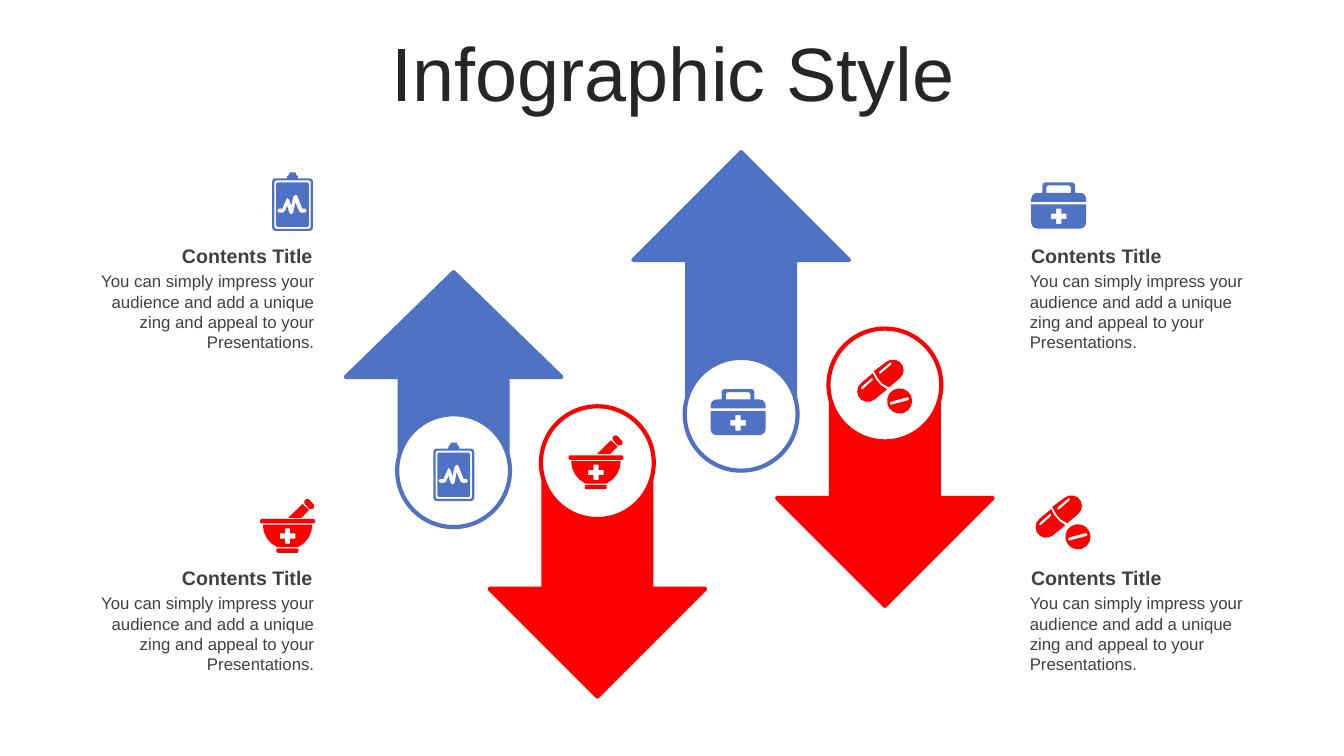
import math

import pptx
import pptx.dml.color
import pptx.enum.shapes
import pptx.enum.text
import pptx.util

Pt = pptx.util.Pt
SHAPE = pptx.enum.shapes.MSO_SHAPE
ALIGN = pptx.enum.text.PP_ALIGN
ANCHOR = pptx.enum.text.MSO_ANCHOR
AUTO = pptx.enum.text.MSO_AUTO_SIZE
BLUE, RED, WHITE = "5072C4", "FF0000", "FFFFFF"
DARK, GREY = "262626", "404040"


def color(value):
    return pptx.dml.color.RGBColor.from_string(value)


def arc(cx, cy, r, start, end):
    """Points along a circle, clockwise, angles in degrees; larger arcs get more points."""
    if r == 0:
        return [(cx, cy)]
    steps = max(1, round((end - start) * math.sqrt(r) / 70))
    angles = [math.radians(start + (end - start) * i / steps) for i in range(steps + 1)]
    return [(cx + r * math.cos(a), cy + r * math.sin(a)) for a in angles]


def rect(x, y, w, h, top=0, bottom=0):
    """Rectangle outline with separate radii for the top and bottom corners."""
    x2, y2 = x + w, y + h
    return (arc(x + top, y + top, top, 180, 270)
            + arc(x2 - top, y + top, top, 270, 360)
            + arc(x2 - bottom, y2 - bottom, bottom, 0, 90)
            + arc(x + bottom, y2 - bottom, bottom, 90, 180))


def bar(x1, y1, x2, y2, r):
    """Round-ended bar between two centres."""
    a = math.degrees(math.atan2(y2 - y1, x2 - x1))
    return arc(x2, y2, r, a - 90, a + 90) + arc(x1, y1, r, a + 90, a + 270)


def cross(cx, cy, half=5.5, arm=1.9):
    corner = [(arm, half), (arm, arm), (half, arm)]
    points = []
    for _ in range(4):
        points += [(cx + x, cy + y) for x, y in corner]
        corner = [(y, -x) for x, y in corner]
    return points


PULSE = [(16.6, 15.8), (15.1, 17.3), (13.7, 23.8), (12.2, 19.4), (10.8, 18), (10.1, 19.4),
         (7.2, 25.9), (4.7, 25.9), (3.6, 27.4), (4.7, 28.8), (7.9, 28.8), (9.4, 27.4),
         (10.8, 23.8), (12.2, 28.8), (13.7, 30.2), (15.1, 28.8), (16.6, 21.6), (19.4, 28.1),
         (20.9, 28.8), (23.8, 28.8), (24.8, 27.4), (23.8, 25.9), (21.6, 25.9), (18, 16.6)]
CLIPBOARD = [
    rect(0, 4.3, 29.2, 37.5, 2.2, 2.2),
    rect(1.6, 5.8, 26, 34.5, 1.4, 1.4),
    rect(2.9, 7.2, 23.4, 31.7, 1, 1),
    [(10.8, 4.3), (10.8, 2.8), (12, 1.8), (12.4, 0), (16.8, 0), (17.2, 1.8), (18.4, 2.8), (18.4, 4.3)],
    PULSE,
]
KIT = [
    rect(0, 15.8, 39.2, 17.2, bottom=4.3),
    rect(0, 7.4, 39.2, 6.5, top=4.3),
    rect(7.9, 0, 23.4, 7.4, top=2.2),
    rect(10.8, 2.2, 17.6, 5.2, top=1.2),
    cross(19.6, 24.2),
]
MORTAR = [
    rect(11.7, 35.4, 15.6, 3.1, 0.6, 0.6),
    arc(19.6, 18.4, 17.7, 0, 65) + arc(19.6, 18.4, 17.7, 115, 180),
    rect(0, 14.3, 39.2, 3.2, 0.8, 0.8),
    [(30.2, 3.6), (35.1, 7.9), (29.5, 13.5), (20.2, 13.5)],
    [(33.1, 0), (34.6, 0.2), (38.4, 4.1), (38.4, 6.3), (37.4, 7.2), (35.3, 7.2), (31.6, 3.2), (31.6, 1.2)],
    cross(19.6, 26.5),
]
PILLS = [
    arc(30.6, 29.9, 9, 0, 360),
    bar(24.5, 31.5, 36.4, 28.3, 1.1),
    arc(7.9, 23, 7.6, 50, 230) + [(11.5, 10.1), (13.7, 14.4), (17.3, 18.7), (21.6, 21.6)],
    bar(3.6, 20.9, 10.8, 14.4, 0.9),
    arc(25.9, 7.9, 7.6, 230, 410) + [(23, 20.2), (18, 17.3), (15.1, 13.7), (12.2, 8.6)],
    bar(16.6, 9.7, 24.1, 3.2, 0.9),
]


class Deck:
    font = "Arial"

    def __init__(self, prs):
        self.s = prs.slides.add_slide(prs.slide_layouts[5])

    def run(self, p, text, size, value, bold=False):
        r = p.add_run()
        r.text = text
        r.font.name, r.font.size, r.font.bold = self.font, Pt(size), bold
        r.font.color.rgb = color(value)

    def title(self, text, x, y, w, h):
        sp = self.s.shapes.title
        sp.left, sp.top, sp.width, sp.height = Pt(x), Pt(y), Pt(w), Pt(h)
        tf = sp.text_frame
        tf.auto_size, tf.vertical_anchor = AUTO.NONE, ANCHOR.MIDDLE
        p = tf.paragraphs[0]
        p.alignment, p.line_spacing = ALIGN.CENTER, 0.9
        self.run(p, text, 54, DARK)

    def text(self, text, x, y, w, h, size, align, bold=False, inset=7.2):
        tf = self.s.shapes.add_textbox(Pt(x), Pt(y), Pt(w), Pt(h)).text_frame
        tf.word_wrap, tf.auto_size = True, AUTO.SHAPE_TO_FIT_TEXT
        tf.margin_left = tf.margin_right = Pt(inset)
        p = tf.paragraphs[0]
        p.alignment = align
        self.run(p, text, size, GREY, bold)

    def shape(self, kind, x, y, w, h, fill, line, rotation=0):
        sp = self.s.shapes.add_shape(kind, Pt(x), Pt(y), Pt(w), Pt(h))
        sp.shadow.inherit = False
        sp.rotation = rotation
        sp.fill.solid()
        sp.fill.fore_color.rgb = color(fill)
        sp.line.color.rgb = color(line)
        sp.line.width = Pt(3)

    def icon(self, outlines, x, y, fill):
        """Draw outlines as one shape; an outline inside another is a hole."""
        outlines = [[(px * 100, py * 100) for px, py in o] for o in outlines]
        builder = self.s.shapes.build_freeform(*outlines[0][0], scale=Pt(0.01))
        for i, outline in enumerate(outlines):
            if i:
                builder.move_to(*outline[0])
            builder.add_line_segments(outline[1:], close=True)
        sp = builder.convert_to_shape(Pt(x), Pt(y))
        sp.shadow.inherit = False
        sp.fill.solid()
        sp.fill.fore_color.rgb = color(fill)
        sp.line.fill.background()

    def content(self, x, y, align):
        self.text("You can simply impress your audience and add a unique zing "
                  "and appeal to your Presentations.", x + 0.5, y + 19.5, 173.5, 65.5, 12, align)
        self.text("Contents Title", x, y, 174.2, 24.5, 14, align, True, 8.5)


def main():
    prs = pptx.Presentation()
    prs.slide_width, prs.slide_height = Pt(960), Pt(540)
    deck = Deck(prs)
    deck.title("Infographic Style", 25.2, 26.6, 911.5, 56.9)

    # colour, arrow top, arrow height, circle top, icon, icon in circle, icon beside text
    arrows = [
        (BLUE, 194.4, 149.8, 295.9, CLIPBOARD, (309.6, 316.1), (194.4, 123.1)),
        (RED, 323.3, 174.2, 290.2, MORTAR, (406.1, 311), (185.8, 356.4)),
        (BLUE, 108.7, 195.1, 255.6, KIT, (507.6, 277.9), (736.6, 130.3)),
        (RED, 267.8, 164.9, 234.7, PILLS, (612, 256.5), (739.4, 353.5)),
    ]
    for i, (fill, top, height, circle_top, icon, inside, beside) in enumerate(arrows):
        x = 247 + 102.7 * i
        deck.shape(SHAPE.UP_ARROW, x, top, 154, height, fill, fill, 180 if fill == RED else 0)
        deck.shape(SHAPE.OVAL, x + 36.7, circle_top, 80.6, 80.6, WHITE, fill)
        for place in (inside, beside):
            deck.icon(icon, *place, fill)

    for x, align in ((57.6, ALIGN.RIGHT), (728, ALIGN.LEFT)):
        for y in (170.6, 400.6):
            deck.content(x, y, align)
    prs.save("out.pptx")


if __name__ == "__main__":
    main()
